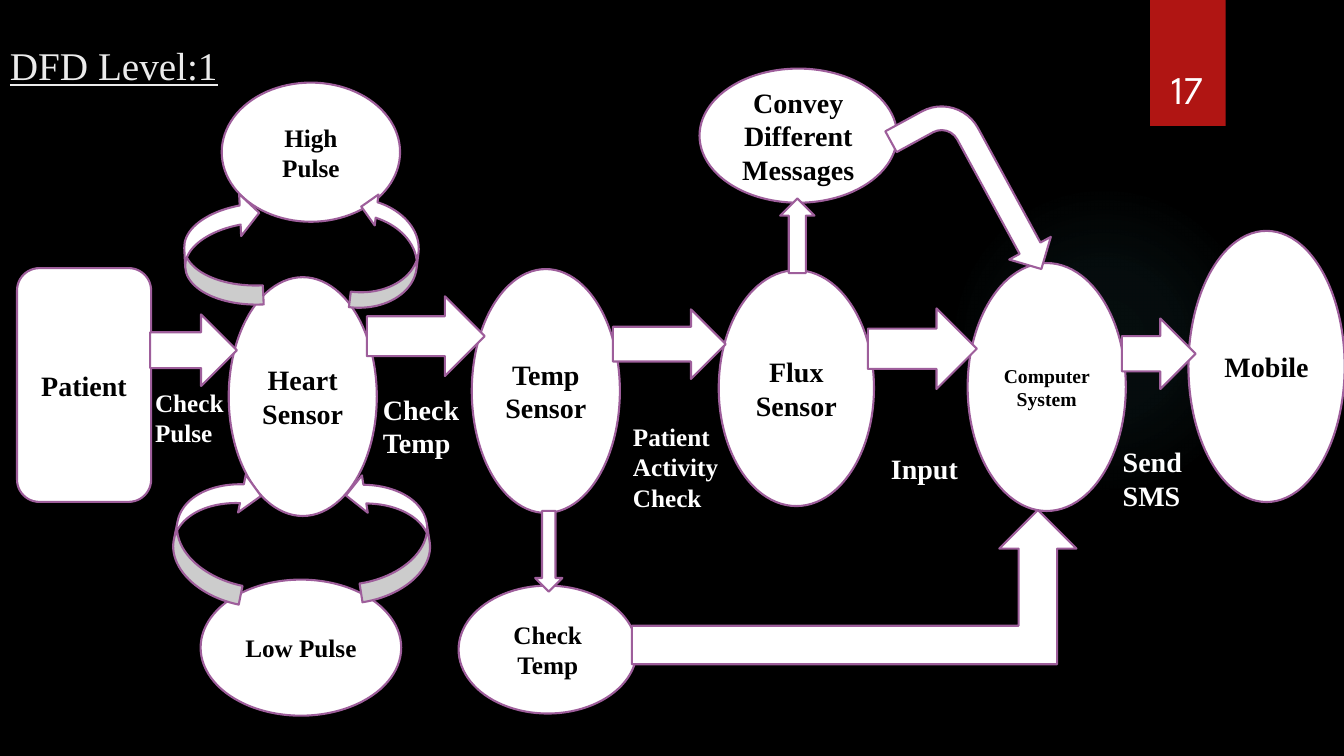
from pptx import Presentation
from pptx.dml.color import RGBColor
from pptx.enum.shapes import MSO_SHAPE
from pptx.enum.text import MSO_ANCHOR, PP_ALIGN
from pptx.oxml import parse_xml
from pptx.oxml.ns import nsdecls
from pptx.util import Pt

SERIF = "Times New Roman"
WHITE, BLACK, PURPLE = "FFFFFF", "000000", "9E5E9B"

# Each entry: text, size, left, top, width, height
SENSORS = [
    ("Heart Sensor", 20, 163.4, 198, 105.8, 170.6),
    ("Temp Sensor", 20, 337, 192.2, 105.8, 174.2),
    ("Flux Sensor", 20, 513.4, 193, 110.9, 168.5),
    ("Computer System", 14, 691.2, 187.9, 113, 177.1),
    ("Mobile", 20, 848.9, 164.9, 111.6, 193.7),
]
OUTCOMES = [
    ("High Pulse", 18, 158.4, 59, 127.4, 99.4),
    ("Low Pulse", 18, 143.3, 414, 143.3, 97.2),
    ("Check Temp", 18, 327.6, 418.3, 127.4, 91.4),
    ("Convey\nDifferent Messages", 20, 499.7, 49, 141.1, 95.8),
]
FLOW_LABELS = [
    ("Check Pulse", 18, 103.7, 272.9, 95.8, 51.1),
    ("Check Temp", 20, 266.4, 276.5, 76.3, 55.4),
    ("Patient Activity Check", 18, 445, 297.4, 94.3, 72.7),
    ("Input", 20, 629.3, 319, 72, 31.7),
    ("Send SMS", 20, 794.9, 313.9, 79.2, 55.4),
]
# Each entry: left, top, width, height
FLOW_ARROWS = [
    (107.3, 224.6, 61.9, 51.1),
    (262.1, 211.7, 84.2, 56.9),
    (437.8, 221, 80.6, 49.7),
    (619.9, 220.3, 77.8, 57.6),
    (801.4, 227.5, 52.6, 50.4),
]


def color(value):
    return RGBColor.from_string(value)


def place(frame):
    return [Pt(length) for length in frame]


def write(box, text, size, fill=BLACK, font=SERIF, bold=True, underline=False,
          align=PP_ALIGN.CENTER, anchor=MSO_ANCHOR.MIDDLE):
    frame = box.text_frame
    frame.word_wrap = True
    frame.vertical_anchor = anchor
    look = {"name": font, "size": Pt(size), "bold": bold, "underline": underline}
    for index, line in enumerate(text.split("\n")):
        para = frame.add_paragraph() if index else frame.paragraphs[0]
        para.alignment = align
        span = para.add_run()
        span.text = line
        for name, value in look.items():
            setattr(span.font, name, value)
        span.font.color.rgb = color(fill)


def add_figure(page, kind, frame, fill=WHITE, line=PURPLE):
    box = page.shapes.add_shape(kind, *place(frame))
    box.shadow.inherit = False
    box.fill.solid()
    box.fill.fore_color.rgb = color(fill)
    if line:
        box.line.color.rgb = color(line)
        box.line.width = Pt(1.5)
    else:
        box.line.fill.background()
    return box


def add_node(page, text, size, *frame, kind=MSO_SHAPE.OVAL):
    write(add_figure(page, kind, frame), text, size)


def add_label(page, text, size, *frame, **look):
    box = page.shapes.add_textbox(*place(frame))
    settings = {"fill": WHITE, "align": PP_ALIGN.LEFT, "anchor": MSO_ANCHOR.TOP}
    write(box, text, size, **{**settings, **look})


def add_arrow(page, kind, frame, turn=0, flipped=False, bends=()):
    arrow = add_figure(page, kind, frame)
    arrow.rotation = turn
    for index, bend in enumerate(bends):
        arrow.adjustments[index] = bend
    if flipped:
        arrow.element.spPr.xfrm.set("flipV", "1")


def add_glow(page, frame, tint, stops):
    glow = add_figure(page, MSO_SHAPE.OVAL, frame, tint, None)
    marks = "".join(
        f'<a:gs pos="{pos * 1000}"><a:srgbClr val="{tint}">'
        f'<a:alpha val="{alpha * 1000}"/></a:srgbClr></a:gs>'
        for pos, alpha in stops)
    gradient = parse_xml(
        f'<a:gradFill {nsdecls("a")} rotWithShape="1"><a:gsLst>{marks}</a:gsLst>'
        '<a:path path="circle"><a:fillToRect l="50000" t="50000" r="50000" b="50000"/>'
        '</a:path></a:gradFill>')
    properties = glow.element.spPr
    solid = properties.find("{*}solidFill")
    properties.replace(solid, gradient)


def main():
    deck = Presentation()
    deck.slide_width, deck.slide_height = Pt(960), Pt(540)
    page = deck.slides.add_slide(deck.slide_layouts[6])
    page.background.fill.solid()
    page.background.fill.fore_color.rgb = color(BLACK)

    # Backdrop, title and page number
    add_glow(page, (677.5, 131.8, 221.8, 221.8), "50B9C1", [(0, 7), (36, 6), (69, 0)])
    add_figure(page, MSO_SHAPE.RECTANGLE, (821.5, 0, 54, 90), "B01513", None)
    add_label(page, "DFD Level:1", 28, 0, 25.9, 740.2, 110.2,
              fill="EBEBEB", bold=False, underline=True)
    add_label(page, "17", 28, 815, 23, 66.2, 60.5, font="League Spartan", bold=False,
              align=PP_ALIGN.CENTER, anchor=MSO_ANCHOR.BOTTOM)

    # Main flow from patient to mobile
    add_node(page, "Patient", 20, 12.2, 191.5, 95.8, 167, kind=MSO_SHAPE.ROUNDED_RECTANGLE)
    for sensor in SENSORS:
        add_node(page, *sensor)
    for frame in FLOW_ARROWS:
        add_arrow(page, MSO_SHAPE.RIGHT_ARROW, frame)
    for label in FLOW_LABELS:
        add_label(page, *label)
    for outcome in OUTCOMES:
        add_node(page, *outcome)

    # Curved arrows around the heart sensor
    curve = MSO_SHAPE.CURVED_DOWN_ARROW
    add_arrow(page, curve, (234.7, 158.4, 83.5, 44.6), 277, flipped=True)
    add_arrow(page, curve, (118.8, 151.2, 80.6, 54.7), 267.2, bends=(0.25, 0.55, 0.25))
    add_arrow(page, curve, (106.6, 353.5, 92.9, 54.7), 281.6)
    add_arrow(page, MSO_SHAPE.CURVED_UP_ARROW, (233.3, 354.2, 90.7, 54), 261.2)

    # Side branches to and from the outcomes
    add_arrow(page, MSO_SHAPE.DOWN_ARROW, (382.3, 365, 19.4, 57.6))
    add_arrow(page, MSO_SHAPE.UP_ARROW, (557.3, 141.8, 24.5, 53.3))
    add_arrow(page, MSO_SHAPE.BENT_ARROW, (625.7, 105.1, 139.7, 67.7), 61.4)
    add_arrow(page, MSO_SHAPE.BENT_UP_ARROW, (451.4, 364.3, 317.5, 110.2))

    deck.save("out.pptx")


if __name__ == "__main__":
    main()
